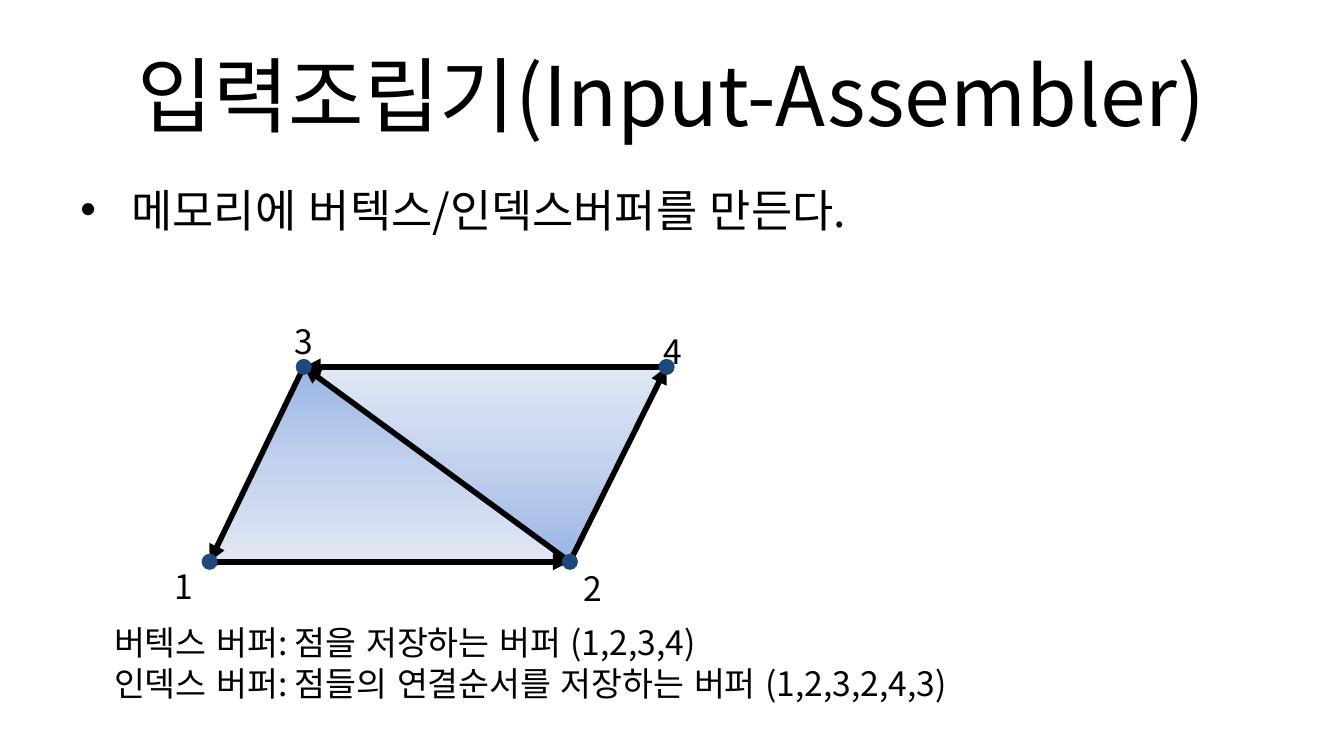
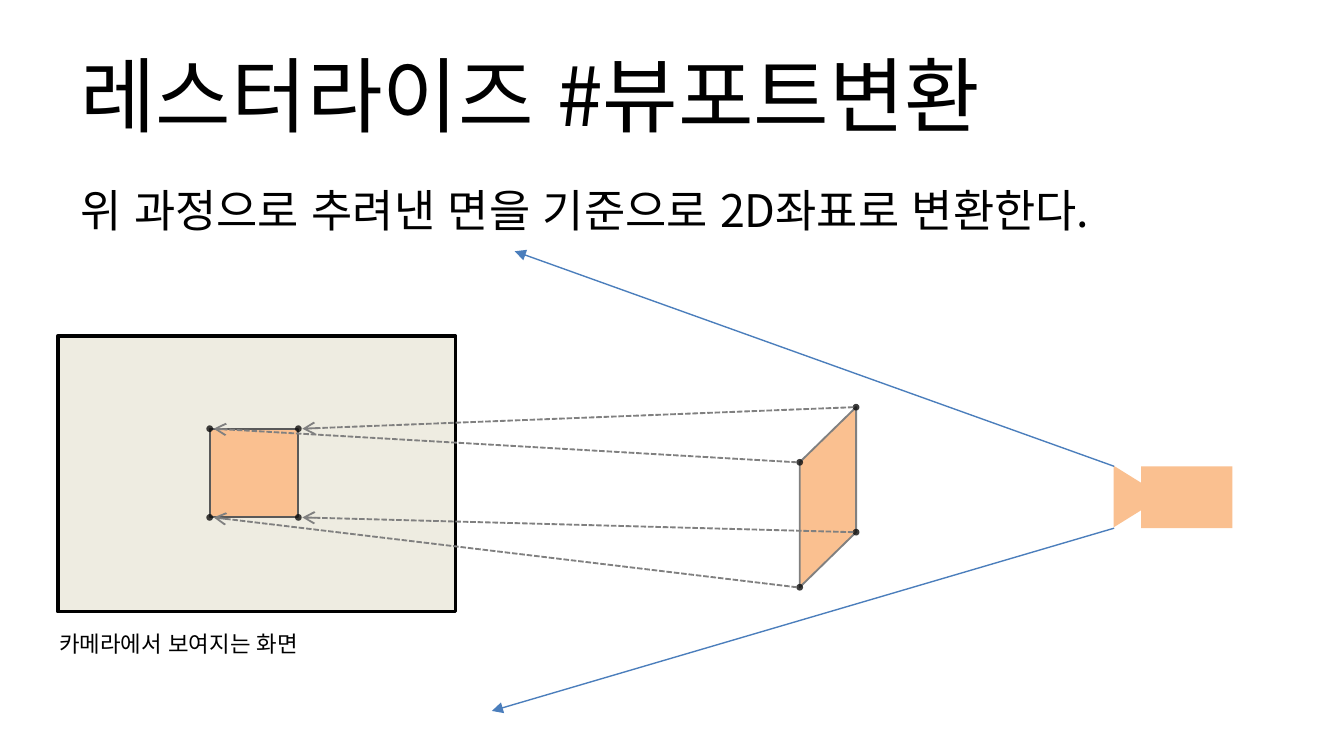
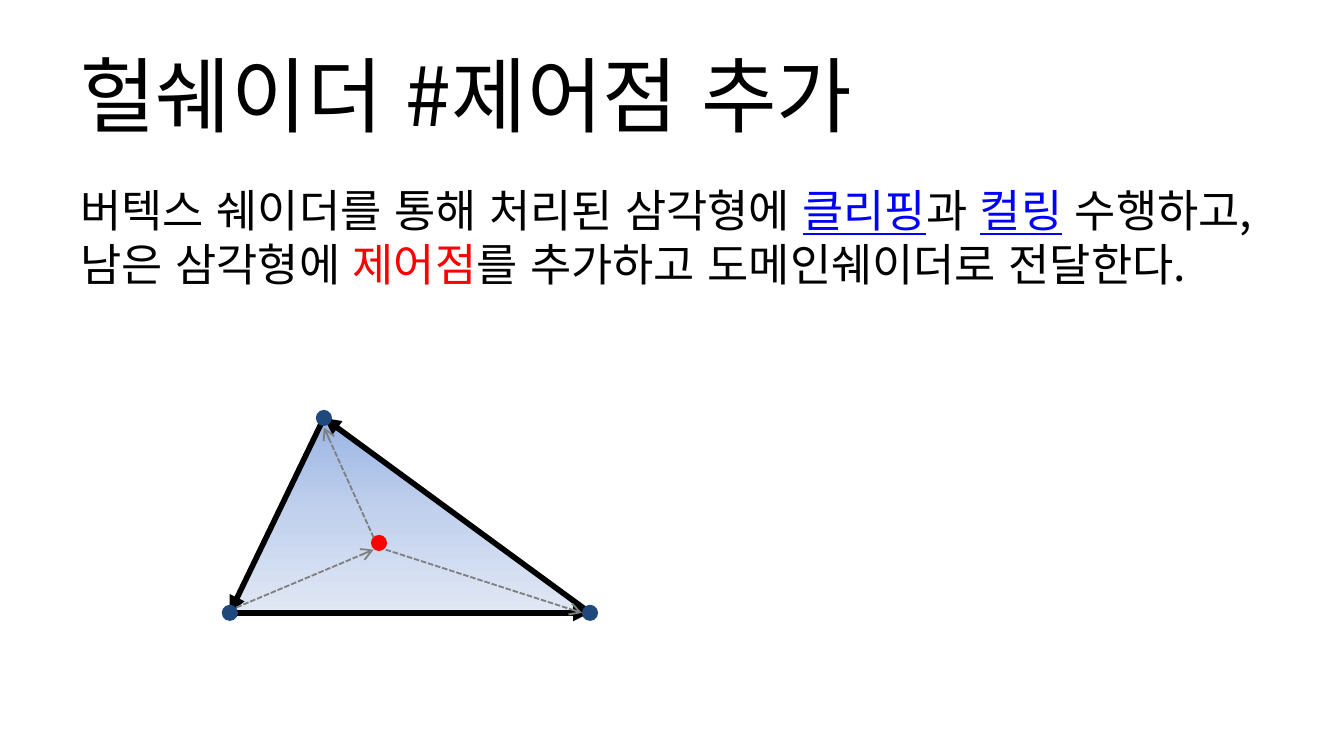
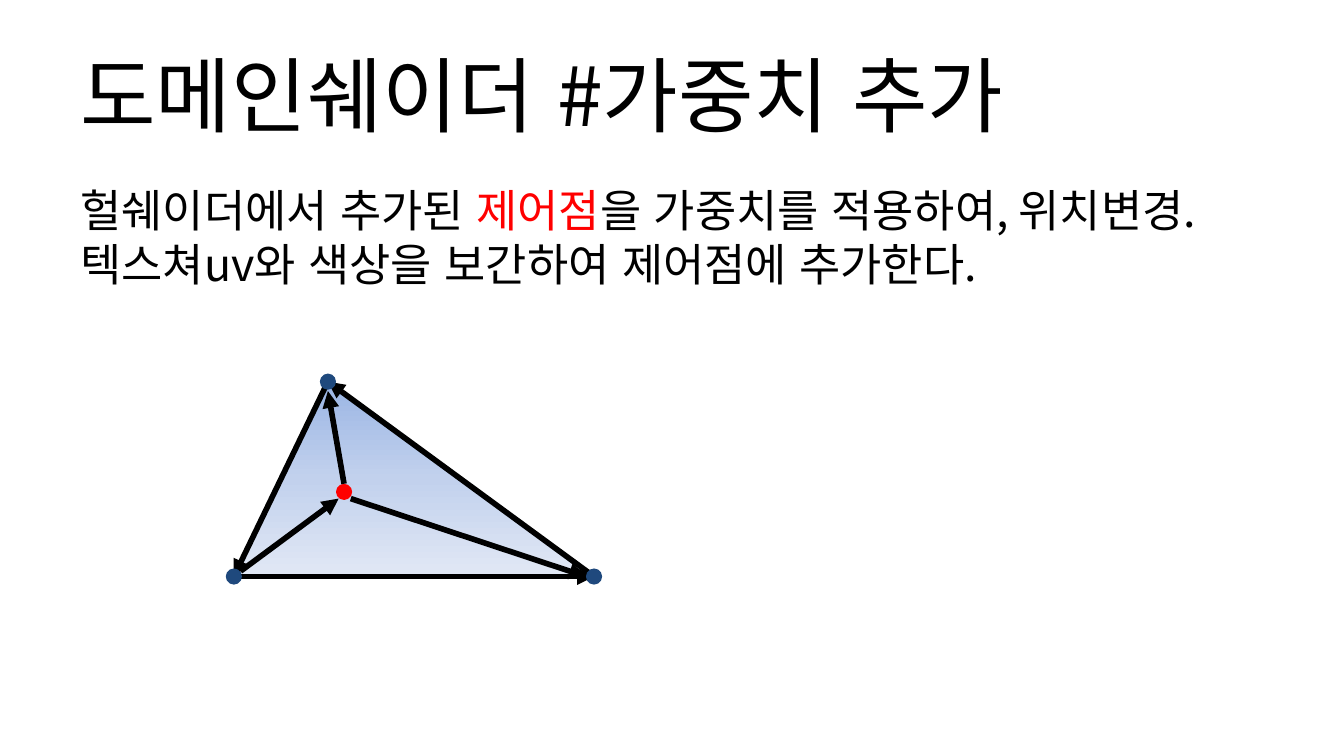
from lxml import etree
from pptx import Presentation
from pptx.dml.color import RGBColor
from pptx.enum.dml import MSO_LINE
from pptx.enum.lang import MSO_LANGUAGE_ID
from pptx.enum.shapes import MSO_CONNECTOR, MSO_SHAPE
from pptx.enum.text import MSO_ANCHOR, MSO_AUTO_SIZE, PP_ALIGN
from pptx.oxml.ns import qn
from pptx.util import Inches, Pt

STRAIGHT = MSO_CONNECTOR.STRAIGHT
RECT, TRI, OVAL = MSO_SHAPE.RECTANGLE, MSO_SHAPE.ISOSCELES_TRIANGLE, MSO_SHAPE.OVAL
DASH = MSO_LINE.SQUARE_DOT
MIDDLE, TOP = MSO_ANCHOR.MIDDLE, MSO_ANCHOR.TOP
LEFT, CENTER = PP_ALIGN.LEFT, PP_ALIGN.CENTER
GROW, FIXED = MSO_AUTO_SIZE.SHAPE_TO_FIT_TEXT, MSO_AUTO_SIZE.NONE
KOREAN = MSO_LANGUAGE_ID.KOREAN

FONT = "Noto Sans CJK KR"
COLORS = {
    "ink": "000000", "link": "0000FF", "red": "FF0000", "navy": "1F497D",
    "ray": "4B7EBC", "gray": "808080", "edge": "595959", "dot": "0D0D0D",
    "peach": "FAC090", "cream": "EEECE1",
}
FADE = [(0, "9AB5E4"), (50, "C2D1ED"), (100, "E1E8F5")]

# Corners of the triangle, relative to its box
WIDE, HIGH, PEAK = 2.68, 1.45, 0.262
BASE, END, APEX = (0, HIGH), (WIDE, HIGH), (0.7, 0)


def rgb(name):
    return RGBColor.from_string(COLORS[name])


def move(point, dx, dy):
    return point[0] + dx, point[1] + dy


def put_text(shapes, box, paras, size, align=LEFT, anchor=TOP, fit=FIXED,
             inset=True, bullet=False):
    """Each paragraph is a list of (text, colour) runs; "\\n" breaks the line."""
    area = shapes.add_textbox(*map(Inches, box))
    frame = area.text_frame
    frame.word_wrap = True
    frame.auto_size = fit
    frame.vertical_anchor = anchor
    if not inset:
        frame.margin_left = frame.margin_right = 0
        frame.margin_top = frame.margin_bottom = 0
    for i, runs in enumerate(paras):
        para = frame.add_paragraph() if i else frame.paragraphs[0]
        para.alignment = align
        if bullet:
            props = para._p.get_or_add_pPr()
            props.set("marL", str(Inches(0.38)))
            props.set("indent", str(Inches(-0.38)))
            etree.SubElement(props, qn("a:buFont")).set("typeface", "Arial")
            etree.SubElement(props, qn("a:buChar")).set("char", "•")
        for words, color in runs:
            if words == "\n":
                para.add_line_break()
                continue
            run = para.add_run()
            run.text = words
            font = run.font
            font.size, font.name = Pt(size), FONT
            font.language_id = KOREAN
            font.color.rgb = rgb(color)
            if color == "link":
                font.underline = True
            east = etree.SubElement(run._r.get_or_add_rPr(), qn("a:ea"))
            east.set("typeface", FONT)


def paint(shape, fill, line=None, width=1):
    shape.shadow.inherit = False
    shape.fill.solid()
    shape.fill.fore_color.rgb = rgb(fill)
    if line:
        shape.line.color.rgb = rgb(line)
        shape.line.width = Pt(width)
    else:
        shape.line.fill.background()
    return shape


def put_shape(shapes, kind, box, fill, line=None, width=1):
    return paint(shapes.add_shape(kind, *map(Inches, box)), fill, line, width)


def put_dot(shapes, point, fill, size=0.12, alpha=None):
    left, top = move(point, -size / 2, -size / 2)
    dot = put_shape(shapes, OVAL, (left, top, size, size), fill)
    if alpha:
        color = dot._element.spPr.find(".//" + qn("a:srgbClr"))
        etree.SubElement(color, qn("a:alpha")).set("val", str(alpha * 1000))


def put_arrow(shapes, start, end, color="ink", width=3, head="triangle", dash=None):
    line = shapes.add_connector(STRAIGHT, *map(Inches, (*start, *end)))
    line.line.color.rgb = rgb(color)
    line.line.width = Pt(width)
    if dash:
        line.line.dash_style = dash
    props = line._element.spPr
    etree.SubElement(props.find(qn("a:ln")), qn("a:tailEnd")).set("type", head)
    etree.SubElement(props, qn("a:effectLst"))


def put_dash(shapes, start, end):
    put_arrow(shapes, start, end, "gray", 1, "arrow", DASH)


def put_face(shapes, x, y, turn=0):
    """Triangle that fades from its peak to its base."""
    face = put_shape(shapes, TRI, (x, y, WIDE, HIGH), "cream")
    face.adjustments[0] = PEAK
    face.rotation = turn
    face.fill.gradient()
    face.fill.gradient_angle = 270
    stops = face._element.spPr.find(".//" + qn("a:gsLst"))
    for stop in list(stops):
        stops.remove(stop)
    for place, color in FADE:
        stop = etree.SubElement(stops, qn("a:gs"), pos=str(place * 1000))
        etree.SubElement(stop, qn("a:srgbClr"), val=color)


def put_mesh(shapes, x, y, points, links):
    """Arrows along the links, then a dot on each point."""
    spots = [move(p, x, y) for p in points]
    for a, b in links:
        put_arrow(shapes, spots[a], spots[b])
    for spot in spots:
        put_dot(shapes, spot, "navy")


def put_split(slide, x, y, mid, lift, join):
    """Triangle with a control point joined to its corners."""
    shapes = slide.shapes.add_group_shape().shapes
    put_face(shapes, x, y)
    put_mesh(shapes, x, y, [BASE, END, APEX], [(0, 1), (1, 2), (2, 0)])
    base, end, apex, hub = (move(p, x, y) for p in (BASE, END, APEX, mid))
    put_dot(shapes, hub, "red")
    join(shapes, move(base, 0.05, -0.04), move(hub, -0.04, 0.05))
    join(shapes, move(hub, *lift), move(apex, 0, 0.07))
    join(shapes, move(hub, 0.05, 0.05), move(end, -0.06, 0))


def put_quad(slide, x, y):
    """Two triangles that share an edge, with numbered corners."""
    shapes = slide.shapes
    far = move(END, APEX[0] + 0.02, -HIGH)
    put_face(shapes, x + 0.72, y, 180)
    put_face(shapes, x, y)
    put_mesh(shapes, x, y, [BASE, END, APEX, far],
             [(0, 1), (1, 2), (2, 0), (1, 3), (3, 2)])
    spots = [(-0.36, 1.43), (2.68, 1.45), (0.53, -0.39), (3.28, -0.32)]
    for i, spot in enumerate(spots, 1):
        put_text(shapes, (*move(spot, x, y), 0.47 if i > 1 else 0.31, 0.4),
                 [[(str(i), "ink")]], 18, fit=GROW)


def put_camera(slide, x, y):
    shapes = slide.shapes.add_group_shape().shapes
    high = 0.46
    put_shape(shapes, RECT, (x + 0.2, y, 0.68, high), "peach")
    lens = put_shape(shapes, TRI, (x - 0.05, y + 0.04, high, 0.37), "peach")
    lens.rotation = 90
    for top, dx, dy in [(0, -4.46, -1.6), (high, -4.63, 1.36)]:
        start = (x, y + top)
        put_arrow(shapes, start, move(start, dx, dy), "ray", 0.75)


def put_screen(slide, x, y):
    """Screen with its caption; gives the corners of the square on it."""
    put_text(slide.shapes, (x + 0.01, y + 2.19, 3.31, 0.2),
             [[("카메라에서 보여지는 화면", "ink")]], 12, fit=GROW, inset=False)
    shapes = slide.shapes.add_group_shape().shapes
    left, top, side = x + 1.13, y + 0.69, 0.66
    put_shape(shapes, RECT, (x, y, 2.96, 2.05), "cream", "ink", 2)
    put_shape(shapes, RECT, (left, top, side, side), "peach", "edge")
    return [(left + dx, top + dy) for dy in (0, side) for dx in (side, 0)]


def put_plane(slide, x, y):
    """Slanted face; gives its corners: right, left, then the lower two."""
    wide, slant, high = 0.42, 0.41, 0.93
    spots = [(x + wide, y), (x, y + slant),
             (x + wide, y + high), (x, y + slant + high)]
    ring = [tuple(map(Inches, spots[i])) for i in (0, 2, 3, 1)]
    pen = slide.shapes.build_freeform(*ring[0])
    pen.add_line_segments(ring[1:])
    paint(pen.convert_to_shape(), "peach", "gray")
    return spots


def add_page(deck, title, body, align=LEFT, bullet=False, width=9, height=1.97):
    slide = deck.slides.add_slide(deck.slide_layouts[6])
    put_text(slide.shapes, (0.5, 0.23, 9, 0.94), [[(title, "ink")]], 44,
             align, MIDDLE)
    put_text(slide.shapes, (0.5, 1.31, width, height), [body], 24, bullet=bullet)
    return slide


def add_input(deck):
    slide = add_page(deck, "입력조립기(Input-Assembler)",
                     [("메모리에 버텍스/인덱스버퍼를 만든다.", "ink")],
                     CENTER, bullet=True, height=0.63)
    put_quad(slide, 1.56, 2.73)
    notes = ["버텍스 버퍼: 점을 저장하는 버퍼 (1,2,3,4)",
             "인덱스 버퍼: 점들의 연결순서를 저장하는 버퍼 (1,2,3,2,4,3)"]
    put_text(slide.shapes, (0.75, 4.58, 8.19, 0.71),
             [[(note, "ink")] for note in notes], 18, fit=GROW)


def add_view(deck):
    slide = add_page(deck, "레스터라이즈 #뷰포트변환",
                     [("위 과정으로 추려낸 면을 기준으로 2D좌표로 변환한다.", "ink")])
    put_camera(slide, 8.29, 3.47)
    plane = put_plane(slide, 5.95, 3.03)
    square = put_screen(slide, 0.43, 2.5)
    for spot in plane + square:
        put_dot(slide.shapes, spot, "dot", 0.05, 80)
    for start, end in zip(plane, square):
        put_dash(slide.shapes, move(start, -0.02, 0), move(end, 0.03, 0))


def add_hull(deck):
    slide = add_page(deck, "헐쉐이더 #제어점 추가", [
        ("버텍스 쉐이더를 통해 처리된 삼각형에 ", "ink"), ("클리핑", "link"),
        ("과 ", "ink"), ("컬링", "link"), (" 수행하고, 남은 삼각형에 ", "ink"),
        ("제어점", "red"), ("를 추가하고 도메인쉐이더로 전달한다.", "ink")])
    put_split(slide, 1.71, 3.11, (1.11, 0.93), (-0.04, -0.04), put_dash)


def add_domain(deck):
    slide = add_page(deck, "도메인쉐이더 #가중치 추가", [
        ("헐쉐이더에서 추가된 ", "ink"), ("제어점", "red"),
        ("을 가중치를 적용하여, 위치변경. ", "ink"), ("\n", "ink"),
        ("텍스쳐uv와 색상을 보간하여 제어점에 추가한다.", "ink")], width=9.22)
    put_split(slide, 1.74, 2.84, (0.82, 0.82), (0, -0.06), put_arrow)


def main():
    deck = Presentation()
    deck.slide_width = Inches(10)
    deck.slide_height = deck.slide_width * 9 // 16
    for add in (add_input, add_view, add_hull, add_domain):
        add(deck)
    deck.save("out.pptx")


if __name__ == "__main__":
    main()
